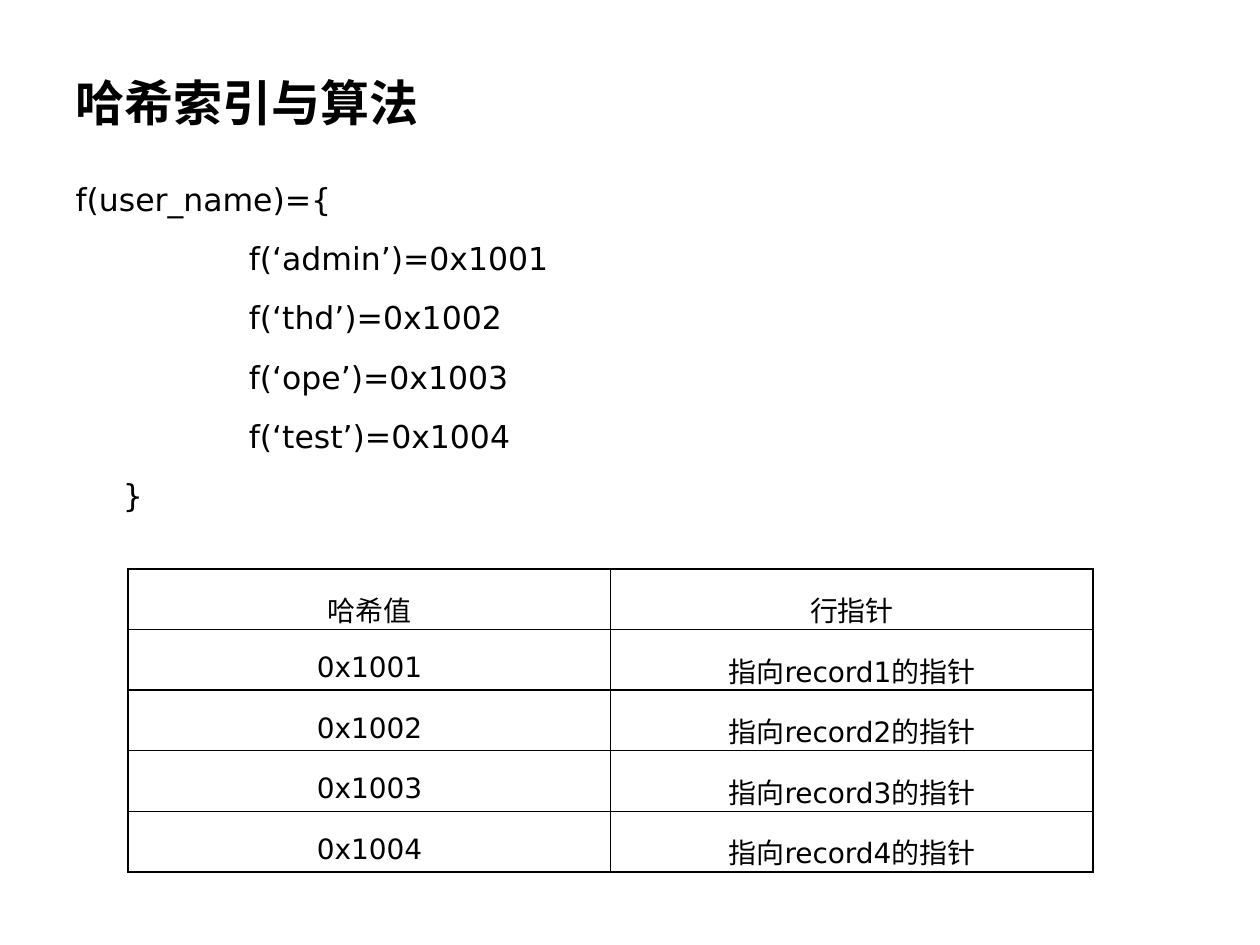
from lxml import etree
from pptx import Presentation
from pptx import util as u
from pptx.dml import color
from pptx.enum import text
from pptx.oxml import ns

COLORS = {"text": "000000", "border": "000000", "background": "FFFFFF"}
FONT = "DejaVu Sans"
Pt = u.Pt


class SlideBuilder:
    def __init__(self, slide):
        self.slide = slide
        self.ink = color.RGBColor.from_string(COLORS["text"])
        fill = slide.background.fill
        fill.solid()
        fill.fore_color.rgb = color.RGBColor.from_string(COLORS["background"])

    def add_run(self, paragraph, content, size, bold=False, east_asian=True):
        """Add a styled run; east_asian also sets the font for Chinese text."""
        run = paragraph.add_run()
        run.text = content
        font = run.font
        font.size, font.bold, font.name = Pt(size), bold, FONT
        font.color.rgb = self.ink
        if east_asian:
            latin = run._r.rPr.find(ns.qn("a:latin"))
            latin.addnext(etree.Element(ns.qn("a:ea"), typeface=FONT))

    def place(self, shape, left, top, width, height):
        shape.left, shape.top = Pt(left), Pt(top)
        shape.width, shape.height = Pt(width), Pt(height)

    def title(self, content, box):
        shape = self.slide.shapes.title
        self.place(shape, *box)
        frame = shape.text_frame
        frame.auto_size = text.MSO_AUTO_SIZE.NONE
        frame.vertical_anchor = text.MSO_ANCHOR.MIDDLE
        paragraph = frame.paragraphs[0]
        paragraph.alignment = text.PP_ALIGN.LEFT
        self.add_run(paragraph, content, 28, bold=True)

    def body(self, lines, box, indent=27, tab=72):
        """Fill the body placeholder with unbulleted lines on a hanging indent."""
        shape = self.slide.placeholders[1]
        self.place(shape, *box)
        frame = shape.text_frame
        frame.auto_size = text.MSO_AUTO_SIZE.NONE
        for index, line in enumerate(lines):
            paragraph = frame.add_paragraph() if index else frame.paragraphs[0]
            paragraph.line_spacing = 1.15
            paragraph.space_before = paragraph.space_after = Pt(4.5)
            properties = paragraph._p.get_or_add_pPr()
            properties.set("marL", str(Pt(indent)))
            properties.set("indent", str(-Pt(indent)))
            properties.set("defTabSz", str(Pt(tab)))
            etree.SubElement(properties, ns.qn("a:buNone"))
            self.add_run(paragraph, line, 18)

    def table(self, rows, left, top, column_width, row_height):
        columns = len(rows[0])
        table = self.slide.shapes.add_table(
            len(rows), columns, Pt(left), Pt(top),
            Pt(column_width * columns), Pt(row_height * len(rows))).table
        table.first_row = table.horz_banding = False
        for column in table.columns:
            column.width = Pt(column_width)
        for row_index, row in enumerate(rows):
            table.rows[row_index].height = Pt(row_height)
            for column_index, content in enumerate(row):
                self.cell(table.cell(row_index, column_index), content)

    def cell(self, cell, content):
        cell.margin_left = cell.margin_right = Pt(5)
        cell.margin_top = cell.margin_bottom = Pt(0)
        cell.vertical_anchor = text.MSO_ANCHOR.MIDDLE
        self.borders(cell)
        cell.fill.background()
        paragraph = cell.text_frame.paragraphs[0]
        paragraph.alignment = text.PP_ALIGN.CENTER
        paragraph.line_spacing = 1.5
        self.add_run(paragraph, content, 16, east_asian=False)

    def borders(self, cell):
        properties = cell._tc.get_or_add_tcPr()
        for side in ("lnL", "lnR", "lnT", "lnB"):
            line = etree.SubElement(properties, ns.qn(f"a:{side}"), w=str(Pt(1)))
            fill = etree.SubElement(line, ns.qn("a:solidFill"))
            etree.SubElement(fill, ns.qn("a:srgbClr"), val=COLORS["border"])


def main():
    presentation = Presentation()
    presentation.slide_width, presentation.slide_height = Pt(720), Pt(540)
    layout = presentation.slide_layouts.get_by_name("Title and Content")
    builder = SlideBuilder(presentation.slides.add_slide(layout))

    users = ["admin", "thd", "ope", "test"]
    hashes = [f"0x{1001 + index}" for index in range(len(users))]
    calls = [f"\t\tf(‘{user}’)={value}" for user, value in zip(users, hashes)]
    pointers = [[value, f"指向record{number}的指针"]
                for number, value in enumerate(hashes, 1)]

    builder.title("哈希索引与算法", (36, 27.5, 648, 61))
    builder.body(["f(user_name)={", *calls, "\t}"], (36, 96, 648, 356))
    builder.table([["哈希值", "行指针"], *pointers], left=73.25, top=325.25,
                  column_width=275.75, row_height=29.5)
    presentation.save("out.pptx")


if __name__ == "__main__":
    main()
